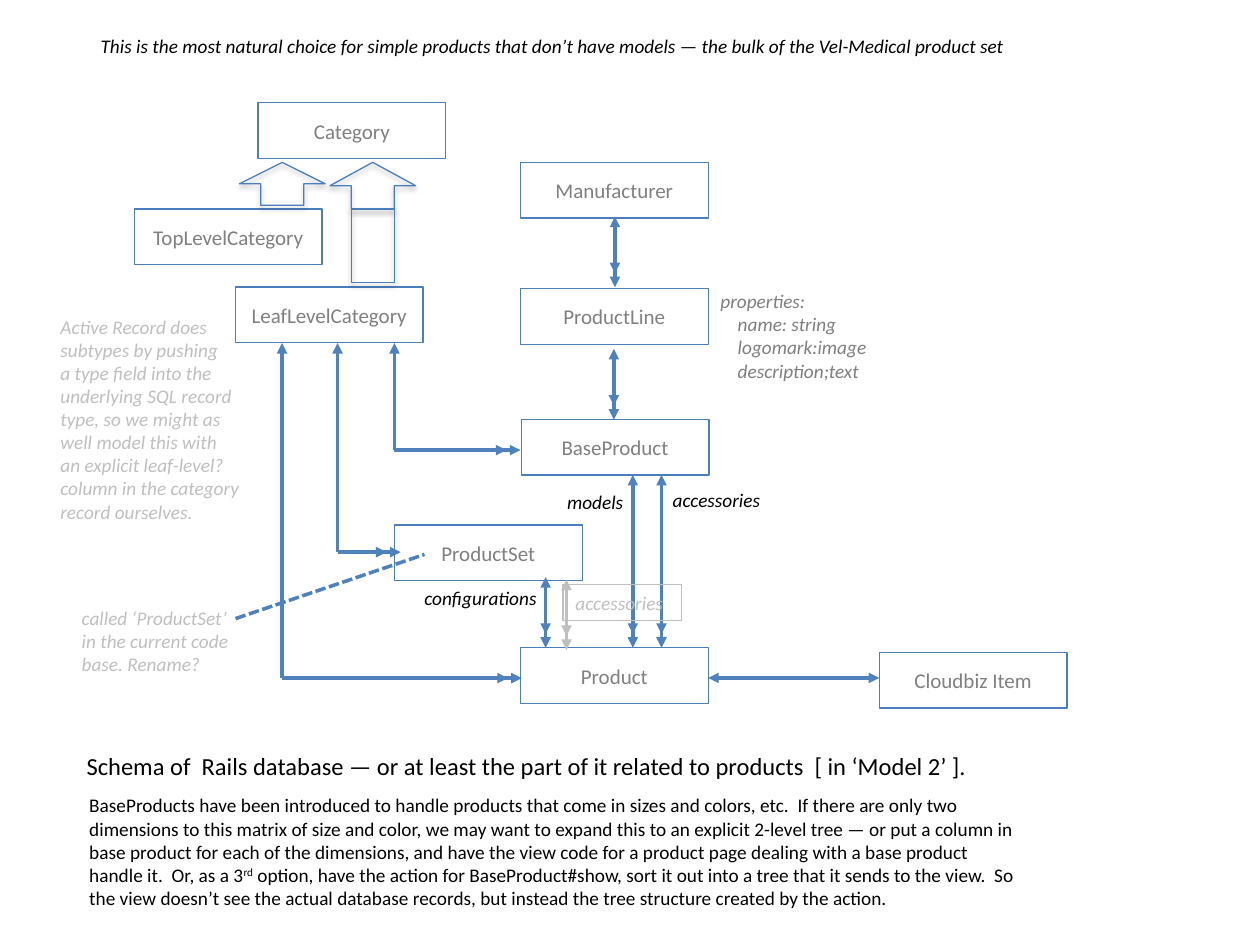
from dataclasses import dataclass
from math import hypot

from lxml import etree
from pptx import Presentation
from pptx.dml.color import RGBColor
from pptx.enum.dml import MSO_LINE_DASH_STYLE as DASH
from pptx.enum.shapes import MSO_CONNECTOR as CONN, MSO_SHAPE as SHAPE
from pptx.enum.text import MSO_ANCHOR as ANCHOR, MSO_AUTO_SIZE as AUTO, PP_ALIGN as ALIGN
from pptx.oxml.ns import qn
from pptx.util import Pt


@dataclass(frozen=True)
class Theme:
    """Colours, type sizes and shared measures."""
    font: str = "Calibri"
    black: str = "000000"
    label: str = "808080"
    props: str = "7F7F7F"
    faint: str = "BFBFBF"
    border: str = "4B7EBC"
    link: str = "4F81BD"
    title: int = 14
    entity: int = 12
    note: int = 11
    hairline: float = 0.75
    link_width: float = 2
    box_w: float = 107.3
    box_h: float = 31.8


T = Theme()


def rgb(code):
    """Turn a hex code into a colour."""
    return RGBColor.from_string(code)


def add_run(p, text, size, color, italic=False, raised=False):
    """Add one styled run to a paragraph."""
    r = p.add_run()
    r.text = text
    f = r.font
    f.name, f.size, f.italic = T.font, Pt(size), italic
    f.color.rgb = rgb(color)
    if raised:
        r._r.get_or_add_rPr().set("baseline", "30000")


def add_outline(slide, kind, x, y, w, h):
    """Add an unfilled shape with a thin border."""
    sp = slide.shapes.add_shape(kind, Pt(x), Pt(y), Pt(w), Pt(h))
    sp.fill.background()
    sp.line.color.rgb = rgb(T.border)
    sp.line.width = Pt(T.hairline)
    return sp


def add_entity(slide, name, x, y):
    """Add a labelled entity box."""
    sp = add_outline(slide, SHAPE.RECTANGLE, x, y, T.box_w, T.box_h)
    sp.shadow.inherit = False
    tf = sp.text_frame
    tf.vertical_anchor = ANCHOR.MIDDLE
    p = tf.paragraphs[0]
    p.alignment = ALIGN.CENTER
    add_run(p, name, T.entity, T.label)


def add_text(slide, box, lines, color=T.black, size=T.note, italic=True, wrap=False, indent=0):
    """Add a text box; each line is a list of (text, raised) runs or a string."""
    tb = slide.shapes.add_textbox(*(Pt(v) for v in box))
    tf = tb.text_frame
    tf.word_wrap, tf.auto_size = wrap, AUTO.SHAPE_TO_FIT_TEXT
    for i, line in enumerate(lines):
        p = tf.add_paragraph() if i else tf.paragraphs[0]
        if i and indent:
            p._p.get_or_add_pPr().set("marL", str(Pt(indent)))
        for text, raised in [(line, False)] if isinstance(line, str) else line:
            add_run(p, text, size, color, italic, raised)
    return tb


def add_line(slide, start, end, head=False, tail=False, color=T.link):
    """Add a straight line with optional triangles at its ends."""
    c = slide.shapes.add_connector(CONN.STRAIGHT, *(Pt(v) for v in (*start, *end)))
    c.line.color.rgb = rgb(color)
    c.line.width = Pt(T.link_width)
    ln = c.line._get_or_add_ln()
    for tag, wanted in (("a:headEnd", head), ("a:tailEnd", tail)):
        if wanted:
            etree.SubElement(ln, qn(tag)).set("type", "triangle")
    etree.SubElement(c._element.spPr, qn("a:effectLst"))
    return c


def add_many_link(slide, start, end, head=True, color=T.link, gap=8, inner=25):
    """Add a link whose end carries two triangles, for 'many'."""
    add_line(slide, start, end, head, True, color)
    (x1, y1), (x2, y2) = start, end
    length = hypot(x2 - x1, y2 - y1)
    ux, uy = (x2 - x1) / length, (y2 - y1) / length
    near, far = ((x2 - ux * d, y2 - uy * d) for d in (gap, gap + inner))
    add_line(slide, far, near, tail=True, color=color)


def add_categories(slide, x, y):
    """Draw the category boxes and their inheritance arrows."""
    for name, dx, dy in (("Category", 70.7, 0), ("TopLevelCategory", 0, 60.7),
                         ("LeafLevelCategory", 57.7, 105.2)):
        add_entity(slide, name, x + dx, y + dy)
    for kind, dx, dy, w, h in ((SHAPE.UP_ARROW, 60, 34, 49, 24.5),
                               (SHAPE.UP_ARROW, 111.7, 34, 49, 26.7),
                               (SHAPE.RECTANGLE, 124, 60.7, 24.5, 42)):
        add_outline(slide, kind, x + dx, y + dy, w, h)


def add_products(slide, x, y):
    """Draw the product boxes, the links between them and their labels."""
    for name, dx, dy in (("Manufacturer", 72, 0), ("ProductLine", 72, 72.2),
                         ("BaseProduct", 72.4, 146.9), ("ProductSet", 0, 207.3),
                         ("Product", 72, 277.4), ("Cloudbiz Item", 277, 280)):
        add_entity(slide, name, x + dx, y + dy)
    for dx, top, bottom, color in ((126, 31, 71.3, T.link), (125.4, 106.6, 147, T.link),
                                   (136.2, 178.6, 277.4, T.link),
                                   (152.6, 178.6, 277.4, T.link),
                                   (86.4, 237, 277.4, T.link),
                                   (98.3, 238.4, 278.6, T.faint)):
        add_many_link(slide, (x + dx, y + top), (x + dx, y + bottom), color=color)
    add_line(slide, (x + 179.3, y + 294.6), (x + 277, y + 294.6), True, True)
    for label, dx, dy, w in (("models", 91.5, 183.6, 49.7), ("accessories", 151.9, 182.6, 67.7),
                             ("configurations", 10, 238.9, 82)):
        add_text(slide, (x + dx, y + dy, w, 20.6), [label])
    tb = add_text(slide, (x + 96.4, y + 241.3, 67.7, 20.6), ["accessories"], T.faint)
    tb.line.color.rgb = rgb(T.faint)
    tb.line.width = Pt(T.hairline)
    add_text(slide, (x + 179.2, y + 69.1, 101.5, 60.5),
             ["properties:", "name: string", "logomark:image", "description;text"],
             T.props, indent=9.9)


def add_category_links(slide, x, y):
    """Draw the elbow links from the leaf category down to the products."""
    for dx, drop, reach, inner in ((0, 191.5, 137, 40), (31.7, 119.5, 36, 19.5),
                                   (64.2, 61.2, 72, 40)):
        corner = (x + dx, y + drop)
        add_line(slide, (x + dx, y), corner, head=True)
        add_many_link(slide, corner, (x + dx + reach, y + drop), head=False, inner=inner)


def add_side_notes(slide, x, y):
    """Write the faint remarks on the left and the dashed pointer."""
    add_text(slide, (x, y, 120, 127.4),
             ["Active Record does", "subtypes by pushing", "a type field into the",
              "underlying SQL record", "type, so we might as", "well model this with",
              "an explicit leaf-level?", "column in the category", "record ourselves."], T.faint)
    add_text(slide, (x + 12.2, y + 166.3, 98.6, 47.5),
             ["called ‘ProductSet’ in the current code base. Rename?"], T.faint, wrap=True)
    pointer = add_line(slide, (x + 107.2, y + 177.1), (x + 215.2, y + 140.4))
    pointer.line.dash_style = DASH.SQUARE_DOT


def add_captions(slide, x, y):
    """Write the line above the diagram and the text below it."""
    add_text(slide, (x + 8, y, 547, 20.6),
             ["This is the most natural choice for simple products that don’t have models — "
              "the bulk of the Vel-Medical product set"], wrap=True)
    add_text(slide, (x, y + 409.7, 523, 24.2),
             ["Schema of  Rails database — or at least the part of it related to products  "
              "[ in ‘Model 2’ ]."], size=T.title, italic=False, wrap=True)
    add_text(slide, (x + 1.5, y + 434.2, 547, 74), [[
        ("BaseProducts have been introduced to handle products that come in sizes and colors, "
         "etc.  If there are only two dimensions to this matrix of size and color, we may want "
         "to expand this to an explicit 2-level tree — or put a column in base product for each "
         "of the dimensions, and have the view code for a product page dealing with a base "
         "product handle it.  Or, as a 3", False),
        ("rd", True),
        (" option, have the action for BaseProduct#show, sort it out into a tree that it sends "
         "to the view.  So the view doesn’t see the actual database records, but instead the "
         "tree structure created by the action.", False)]], italic=False, wrap=True)


prs = Presentation()
prs.slide_width, prs.slide_height = Pt(720), Pt(540)
slide = prs.slides.add_slide(prs.slide_layouts[6])
add_categories(slide, 76.8, 58.8)
add_products(slide, 225.4, 92.8)
add_category_links(slide, 161.2, 196)
add_side_notes(slide, 27.4, 176.4)
add_captions(slide, 42.4, 15.8)
prs.save("out.pptx")
